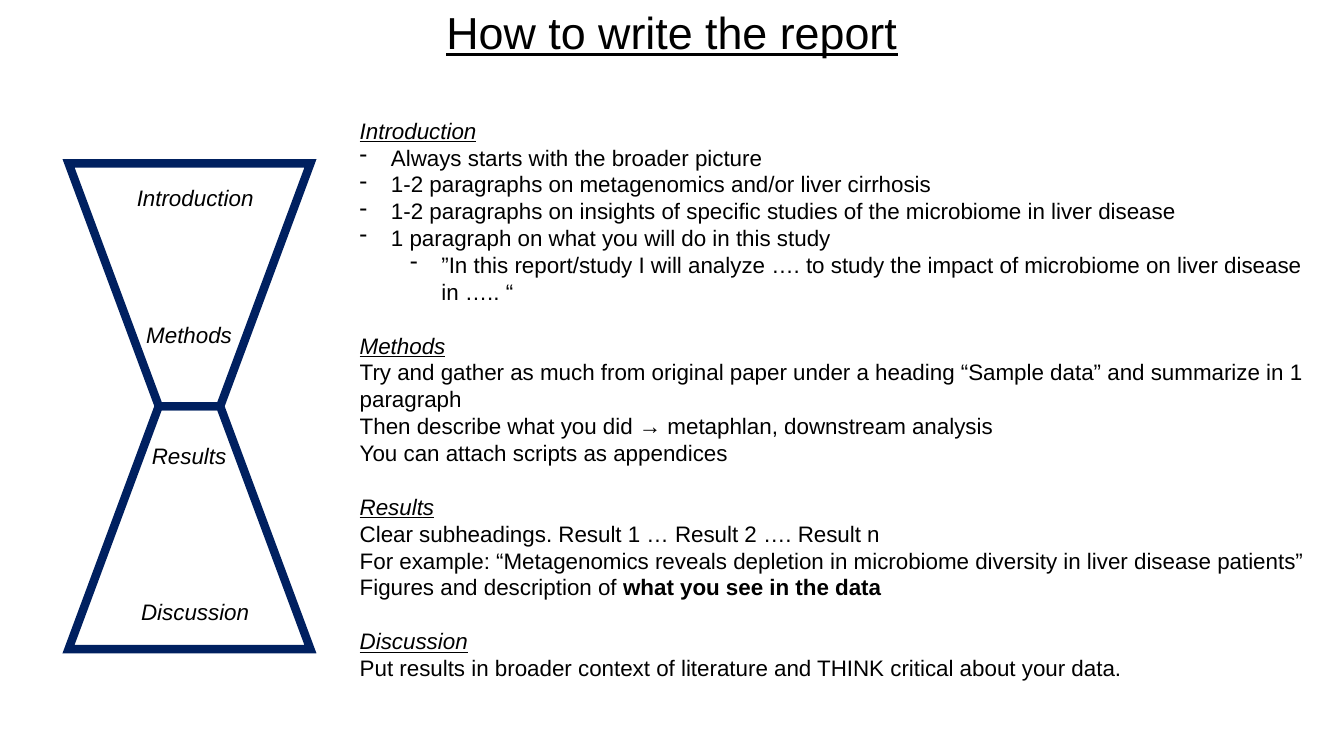
import pptx
import pptx.dml.color
import pptx.enum.shapes
import pptx.enum.text
import pptx.oxml
import pptx.oxml.ns
import pptx.util

COLORS = {"text": "000000", "hourglass": "002060"}
LINE_HEIGHT = 19.2

LABELS = [
    ("Introduction", 2.63, 23.73),
    ("Methods", 2.18, 41.87),
    ("Results", 2.18, 57.87),
    ("Discussion", 2.63, 78.4),
]

SECTIONS = [
    ("Introduction", [
        (0, "Always starts with the broader picture"),
        (0, "1-2 paragraphs on metagenomics and/or liver cirrhosis"),
        (0, "1-2 paragraphs on insights of specific studies of the microbiome in liver disease"),
        (0, "1 paragraph on what you will do in this study"),
        (1, "”In this report/study I will analyze …. to study the impact of microbiome "
            "on liver disease in ….. “"),
    ]),
    ("Methods", [
        (None, "Try and gather as much from original paper under a heading “Sample data” "
               "and summarize in 1 paragraph"),
        (None, "Then describe what you did → metaphlan, downstream analysis"),
        (None, "You can attach scripts as appendices"),
    ]),
    ("Results", [
        (None, "Clear subheadings. Result 1 … Result 2 …. Result n"),
        (None, "For example: “Metagenomics reveals depletion in microbiome diversity "
               "in liver disease patients”"),
        (None, "Figures and description of ", "what you see in the data"),
    ]),
    ("Discussion", [
        (None, "Put results in broader context of literature and THINK critical about your data."),
    ]),
]


def write(paragraph, text, size=16, color="text", bold=False, italic=False, underline=False):
    run = paragraph.add_run()
    run.text = text
    font = run.font
    font.name = "Arial"
    font.size = pptx.util.Pt(size)
    font.bold, font.italic, font.underline = bold, italic, underline
    font.color.rgb = pptx.dml.color.RGBColor.from_string(COLORS[color])


def add_dash(paragraph, level):
    paragraph.level = level
    properties = paragraph._p.get_or_add_pPr()
    indent = pptx.util.Inches(0.31)
    properties.set("marL", str(indent + level * pptx.util.Inches(0.5)))
    properties.set("indent", str(-indent))
    for tag, attributes in (("buFontTx", {}), ("buChar", {"char": "-"})):
        bullet = pptx.oxml.parse_xml(f"<a:{tag} {pptx.oxml.ns.nsdecls('a')}/>")
        for name, value in attributes.items():
            bullet.set(name, value)
        properties.append(bullet)


class ReportSlide:
    def __init__(self, deck):
        self.deck = deck
        self.slide = deck.slides.add_slide(deck.slide_layouts[6])

    def box(self, left, top, width, height):
        across, down = self.deck.slide_width / 100, self.deck.slide_height / 100
        return [round(n) for n in (left * across, top * down, width * across, height * down)]

    def text_frame(self, *shares):
        frame = self.slide.shapes.add_textbox(*self.box(*shares)).text_frame
        frame.word_wrap = True
        frame.auto_size = pptx.enum.text.MSO_AUTO_SIZE.SHAPE_TO_FIT_TEXT
        return frame

    def label(self, text, *shares, **style):
        paragraph = self.text_frame(*shares).paragraphs[0]
        paragraph.alignment = pptx.enum.text.PP_ALIGN.CENTER
        write(paragraph, text, **style)

    def hourglass(self, left, top, width, half_height):
        halves = self.slide.shapes.add_group_shape().shapes
        for row, rotation in enumerate((180, 0)):
            half = halves.add_shape(
                pptx.enum.shapes.MSO_SHAPE.TRAPEZOID,
                *self.box(left, top + row * half_height, width, half_height))
            half.adjustments[0] = 0.373
            half.rotation = rotation
            half.shadow.inherit = False
            half.fill.background()
            half.line.width = pptx.util.Pt(6)
            half.line.color.rgb = pptx.dml.color.RGBColor.from_string(COLORS["hourglass"])
            outline = half.element.spPr.find(pptx.oxml.ns.qn("a:ln"))
            outline.append(pptx.oxml.parse_xml(
                f'<a:miter {pptx.oxml.ns.nsdecls("a")} lim="800000"/>'))

    def guide(self, sections, *shares):
        frame = self.text_frame(*shares)
        for number, (heading, lines) in enumerate(sections):
            title = frame.add_paragraph() if number else frame.paragraphs[0]
            if number:
                title.space_before = pptx.util.Pt(LINE_HEIGHT)
            write(title, heading, italic=True, underline=True)
            for level, advice, *emphasis in lines:
                paragraph = frame.add_paragraph()
                if level is not None:
                    add_dash(paragraph, level)
                write(paragraph, advice)
                for words in emphasis:
                    write(paragraph, words, bold=True)
        for paragraph in frame.paragraphs:
            paragraph.line_spacing = pptx.util.Pt(LINE_HEIGHT)


def main():
    deck = pptx.Presentation()
    deck.slide_width = pptx.util.Inches(13.33)
    deck.slide_height = pptx.util.Inches(7.5)
    report = ReportSlide(deck)
    report.label("How to write the report", 0, 0, 100, 8.53, size=32, underline=True)
    report.hourglass(5.1, 21.6, 18, 32.13)
    for text, left, top in LABELS:
        report.label(text, left, top, 23.78, 4.93, italic=True)
    report.guide(SECTIONS, 26.03, 14.8, 73.14, 76.8)
    deck.save("out.pptx")


if __name__ == "__main__":
    main()
